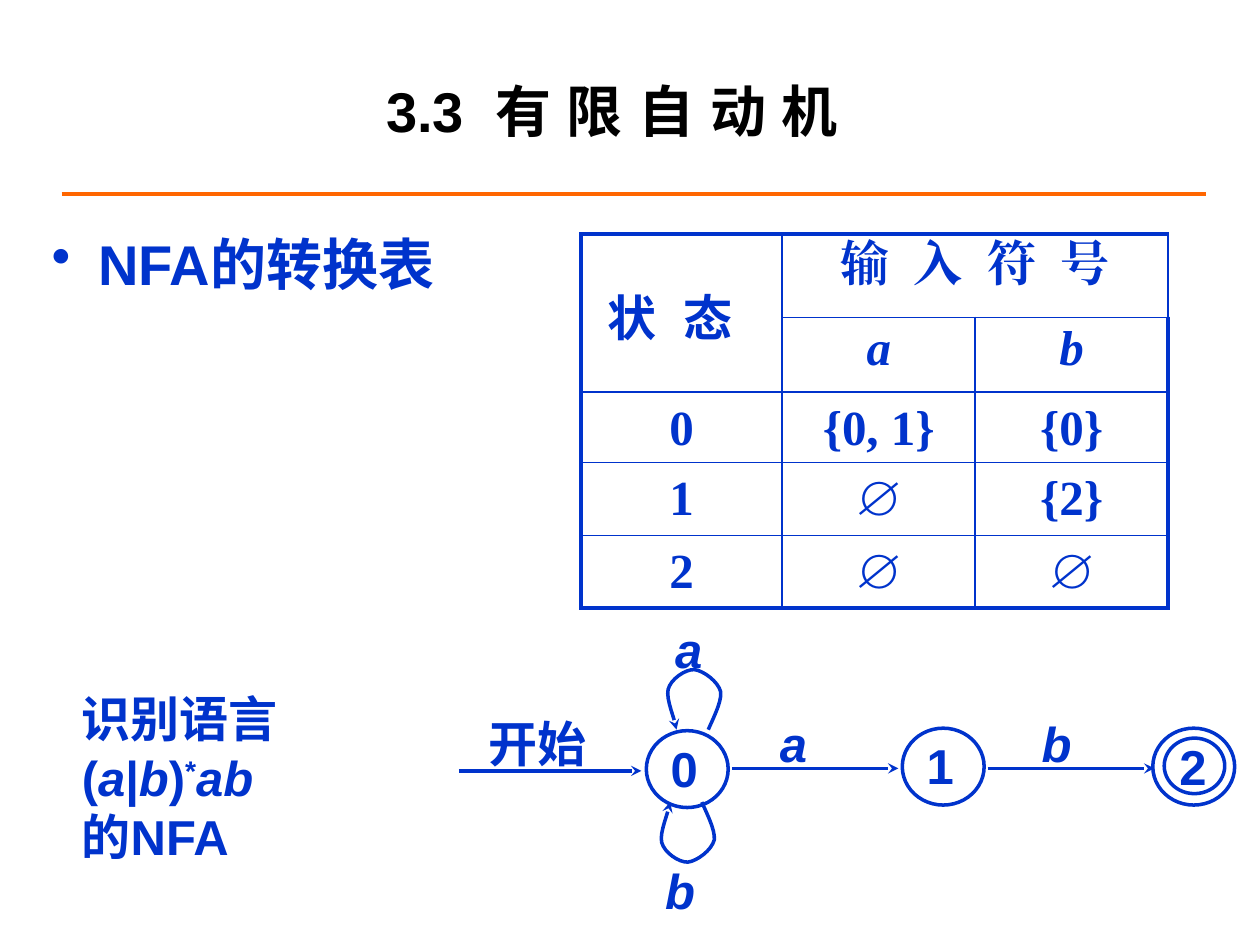
from lxml import etree
from pptx import Presentation
from pptx.dml.color import RGBColor
from pptx.enum.shapes import MSO_CONNECTOR as MC, MSO_SHAPE as MS
from pptx.enum.text import MSO_ANCHOR as MA, PP_ALIGN as PA
from pptx.oxml import parse_xml
from pptx.oxml.ns import nsdecls, qn
from pptx.util import Cm, Pt

BLUE = RGBColor(0x00, 0x33, 0xCC)
ORANGE = RGBColor(0xFF, 0x66, 0x00)
BLACK = RGBColor(0, 0, 0)
ARIAL, TIMES, NOTO = "Arial", "Times New Roman", "Noto Sans CJK SC"
INSETS = (0.15, 0.08, 0.15, 0.08)

TITLE = "3.3  有 限 自 动 机 "
HEADING = "NFA的转换表"
STATE_HEADER = "状  态"
ROWS = [
    ["", "输  入  符  号", ""],
    ["", "a", "b"],
    ["0", "{0, 1}", "{0}"],
    ["1", "∅", "{2}"],
    ["2", "∅", "∅"],
]
COL_WIDTHS = [4.06, 3.89, 3.89]
ROW_HEIGHTS = [1.68, 1.5, 1.42, 1.47, 1.47]
LANGUAGE = [
    [("识别语言", NOTO, "")],
    [("(", ARIAL, ""), ("a", ARIAL, "i"), ("|", ARIAL, ""), ("b", ARIAL, "i"),
     (")", ARIAL, ""), ("*", ARIAL, "sup"), ("ab ", ARIAL, "i")],
    [("的", NOTO, ""), ("NFA", ARIAL, "")],
]
STATES = [
    (13.03, 14.73, 1.65, 1.55, "0", (0.25, 0.08, 0.05, 0.13)),
    (18.19, 14.68, 1.65, 1.55, "1", (0.25, 0.08, 0.05, 0.13)),
    (23.24, 14.68, 1.65, 1.55, "", INSETS),
    (23.47, 14.88, 1.22, 1.12, "2", (0.13, 0, 0.03, 0)),
]
ARROWS = [(9.25, 12.93, 15.54), (14.76, 18.11, 15.49), (19.91, 23.27, 15.49)]
LABELS = [
    (9.7, 14.3, 2.69, "开始"),
    (15.57, 14.3, 1.35, "a"),
    (20.85, 14.3, 1.35, "b"),
    (13.46, 12.4, 1.35, "a"),
    (13.26, 17.27, 1.35, "b"),
]
LOOPS = [(14, 14.71, -1), (13.87, 16.17, 1)]
LOOP_CURVE = [
    (0.28, 0), (0.33, 0.13), (0.56, 0.56), (0.53, 0.76), (0.48, 0.97),
    (0.18, 1.19), (0, 1.21), (-0.18, 1.22), (-0.48, 1.02), (-0.53, 0.81),
    (-0.58, 0.61), (-0.38, 0.18), (-0.36, 0),
]

prs = Presentation()
prs.slide_width, prs.slide_height = Cm(25.4), Cm(19.05)
s = prs.slides.add_slide(prs.slide_layouts[6])


def style(font, name=ARIAL, size=28, color=BLUE, bold=True, italic=False):
    font.size, font.bold, font.italic = Pt(size), bold, italic
    font.color.rgb = color
    set_face(font, name)


def set_face(font, name):
    font.name = name
    etree.SubElement(font._rPr, qn("a:ea")).set("typeface", name)


def set_frame(tf, insets=INSETS, anchor=MA.MIDDLE):
    tf.word_wrap = True
    tf.vertical_anchor = anchor
    tf.margin_left, tf.margin_top, tf.margin_right, tf.margin_bottom = map(Cm, insets)


def add_text(x, y, w, h, text="", align=PA.LEFT, insets=INSETS, anchor=MA.MIDDLE, **look):
    tf = s.shapes.add_textbox(Cm(x), Cm(y), Cm(w), Cm(h)).text_frame
    set_frame(tf, insets, anchor)
    p = tf.paragraphs[0]
    p.text, p.alignment = text, align
    style(p.font, **look)
    return tf


def add_arrowhead(sp):
    etree.SubElement(sp.line._get_or_add_ln(), qn("a:tailEnd")).set("type", "stealth")


def add_line(x1, x2, y, color, width):
    sp = s.shapes.add_connector(MC.STRAIGHT, Cm(x1), Cm(y), Cm(x2), Cm(y))
    sp.line.color.rgb, sp.line.width = color, Pt(width)
    etree.SubElement(sp._element.spPr, qn("a:effectLst"))
    return sp


def outline(sp):
    sp.shadow.inherit = False
    sp.fill.background()
    sp.line.color.rgb, sp.line.width = BLUE, Pt(2)


def add_borders(cell, r, c):
    edges = {"L": c == 0, "R": c == len(COL_WIDTHS) - 1,
             "T": r == 0, "B": r == len(ROW_HEIGHTS) - 1}
    for side, outer in edges.items():
        cell._tc.get_or_add_tcPr().append(parse_xml(
            f'<a:ln{side} {nsdecls("a")} w="{Pt(2.25 if outer else 1)}">'
            f'<a:solidFill><a:srgbClr val="{BLUE}"/></a:solidFill></a:ln{side}>'))


def bezier(points, steps=8):
    for i in range(0, len(points) - 1, 3):
        for k in range(1, steps + 1):
            t = k / steps
            weights = ((1 - t) ** 3, 3 * t * (1 - t) ** 2, 3 * t * t * (1 - t), t ** 3)
            yield tuple(sum(w * q[axis] for w, q in zip(weights, points[i:i + 4]))
                        for axis in (0, 1))


add_line(1.24, 24.31, 3.91, ORANGE, 2.25)

table = s.shapes.add_table(len(ROW_HEIGHTS), len(COL_WIDTHS), Cm(11.71), Cm(4.72),
                           Cm(sum(COL_WIDTHS)), Cm(sum(ROW_HEIGHTS))).table
table.first_row = table.horz_banding = False
for col, width in zip(table.columns, COL_WIDTHS):
    col.width = Cm(width)
for row, height in zip(table.rows, ROW_HEIGHTS):
    row.height = Cm(height)
for r, row in enumerate(ROWS):
    for c, text in enumerate(row):
        cell = table.cell(r, c)
        add_borders(cell, r, c)
        cell.fill.background()
        insets = INSETS if r < 2 else (0, 0.2, 0, 0)
        cell.margin_left, cell.margin_top, cell.margin_right, cell.margin_bottom = map(Cm, insets)
        p = cell.text_frame.paragraphs[0]
        p.text, p.alignment = text, PA.CENTER
        style(p.font, TIMES, italic=r == 1)
table.cell(0, 0).merge(table.cell(1, 0))
table.cell(0, 1).merge(table.cell(0, 2))

add_text(12.09, 5.54, 3.18, 1.7, STATE_HEADER)

p = add_text(0.89, 4.45, 23.8, 1.7, size=32, bold=False).paragraphs[0]
p.add_run().text = " "
r = p.add_run()
r.text, r.font.bold = HEADING, True
pPr = p._p.get_or_add_pPr()
pPr.set("marL", str(Cm(0.63)))
pPr.set("indent", str(-Cm(0.63)))
pPr.insert(0, parse_xml(f'<a:buChar {nsdecls("a")} char="•"/>'))

add_text(1.7, 0.64, 21.59, 3.18, TITLE, PA.CENTER, (0.25, 0.13, 0.25, 0.13),
         size=32, color=BLACK)

tf = add_text(1.5, 13.34, 6.55, 4.65)
for i, runs in enumerate(LANGUAGE):
    p = tf.add_paragraph() if i else tf.paragraphs[0]
    style(p.font)
    for text, face, kind in runs:
        r = p.add_run()
        r.text, r.font.italic = text, kind == "i"
        set_face(r.font, face)
        if kind == "sup":
            r.font._rPr.set("baseline", "30000")

for x, y, w, h, name, insets in STATES:
    sp = s.shapes.add_shape(MS.OVAL, Cm(x), Cm(y), Cm(w), Cm(h))
    outline(sp)
    set_frame(sp.text_frame, insets)
    p = sp.text_frame.paragraphs[0]
    p.text, p.alignment = name, PA.LEFT
    style(p.font)

for x1, x2, y in ARROWS:
    add_arrowhead(add_line(x1, x2, y, BLUE, 2))

for x, y, direction in LOOPS:
    points = [(Cm(x + dx), Cm(y + direction * dy)) for dx, dy in LOOP_CURVE]
    fb = s.shapes.build_freeform(*points[0])
    fb.add_line_segments(list(bezier(points)), close=False)
    sp = fb.convert_to_shape()
    outline(sp)
    add_arrowhead(sp)

for x, y, w, text in LABELS:
    add_text(x, y, w, 1.35, text, anchor=MA.TOP, italic=text.isascii())

prs.save("out.pptx")
